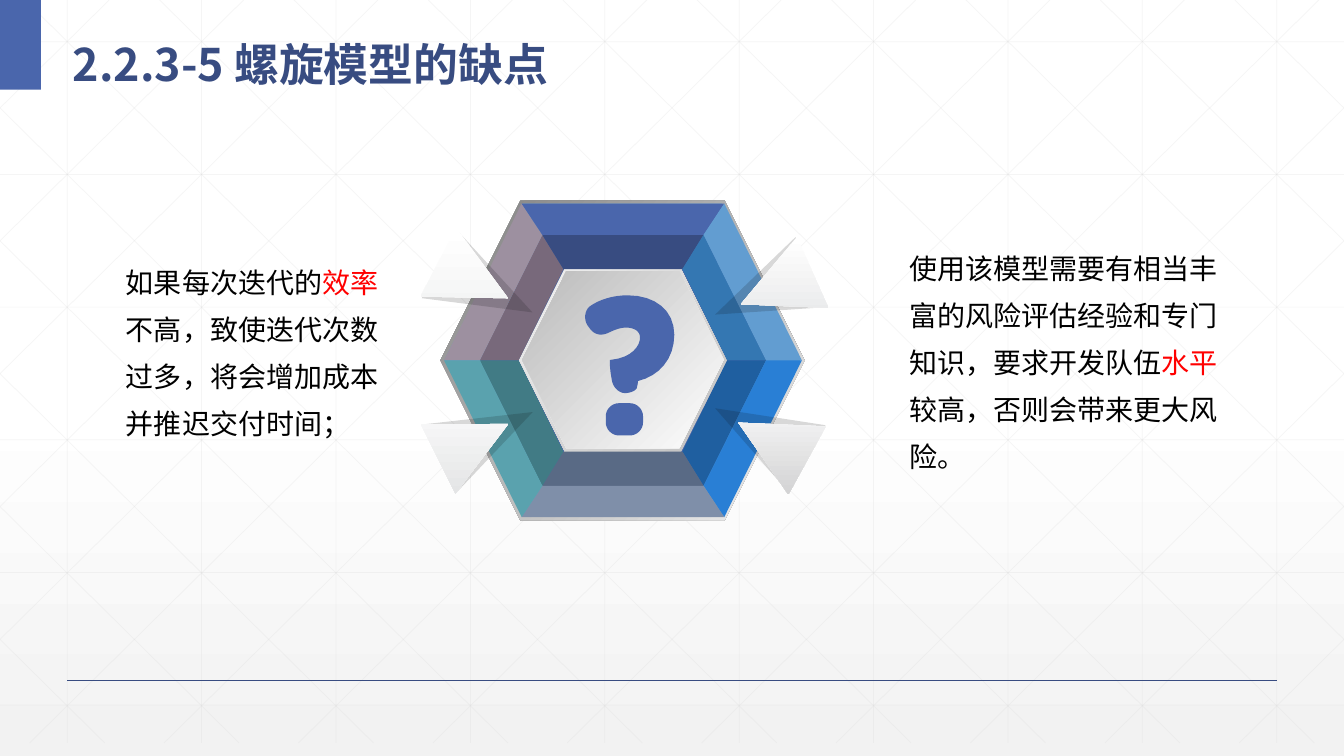
from lxml import etree
from pptx import Presentation
from pptx.dml.color import RGBColor
from pptx.enum.shapes import MSO_CONNECTOR as CON, MSO_SHAPE as SHP
from pptx.oxml.ns import qn
from pptx.util import Inches, Pt

CELL = Inches(0.1)
COLS, ROWS = 133.33, 75

COLORS = {
    "white": "FFFFFF", "haze": "F2F2F2", "grid": "D9D9D9", "grey": "808080",
    "silver": "BFBFBF", "steel": "BABABA", "shade": "0D0D0D",
    "blue": "4A66AC", "navy": "384C81", "sky": "629DD1", "ocean": "3477B2",
    "azure": "297FD5", "deep": "1F5FA0", "slate": "7F8FA9", "iron": "596A85",
    "teal": "5AA2AE", "pine": "417B85", "mauve": "9D90A0", "plum": "78697B",
    "black": "000000", "red": "FF0000",
    "fold1": "D3D3D4", "fold2": "E2E3E4", "fold3": "E4E5E6", "fold4": "F0F1F1",
}


def cells(*values):
    return [round(v * CELL) for v in values]


def add_alpha(node, percent):
    etree.SubElement(node, qn("a:alpha")).set("val", str(percent * 1000))


def bezier(p0, p1, p2, p3, steps=8):
    for i in range(1, steps + 1):
        t = i / steps
        yield tuple((1 - t) ** 3 * a + 3 * (1 - t) ** 2 * t * b
                    + 3 * (1 - t) * t ** 2 * c + t ** 3 * d
                    for a, b, c, d in zip(p0, p1, p2, p3))


def flatten(start, *segments):
    points = [start]
    for seg in segments:
        if len(seg) == 2:
            points.append(seg)
        else:
            points.extend(bezier(points[-1], seg[:2], seg[2:4], seg[4:]))
    return points


class Deck:
    font = "Noto Sans CJK SC"

    def __init__(self):
        self.prs = Presentation()
        self.prs.slide_width, self.prs.slide_height = cells(COLS, ROWS)
        self.s = self.prs.slides.add_slide(self.prs.slide_layouts[6])

    def rgb(self, name):
        return RGBColor.from_string(COLORS[name])

    def gradient(self, fill, element, stops, angle):
        fill.gradient()
        fill.gradient_angle = -angle % 360
        stop_list = element.find(".//" + qn("a:gsLst"))
        for stop in list(stop_list):
            stop_list.remove(stop)
        for position, name, alpha in stops:
            gs = etree.SubElement(stop_list, qn("a:gs"), pos=str(position * 1000))
            clr = etree.SubElement(gs, qn("a:srgbClr"), val=COLORS[name])
            if alpha < 100:
                add_alpha(clr, alpha)

    def background(self, *stops):
        self.gradient(self.s.background.fill, self.s._element, stops, 90)

    def paint(self, sp, color, alpha=100):
        sp.shadow.inherit = False
        sp.line.fill.background()
        if isinstance(color, tuple):
            first, last, angle = color
            self.gradient(sp.fill, sp._element,
                          [(0, first, 100), (100, last, 100)], angle)
            return
        sp.fill.solid()
        sp.fill.fore_color.rgb = self.rgb(color)
        if alpha < 100:
            add_alpha(sp._element.spPr.find(".//" + qn("a:srgbClr")), alpha)

    def shape(self, kind, box, color, alpha=100, rotation=0):
        sp = self.s.shapes.add_shape(kind, *cells(*box))
        sp.rotation = rotation
        self.paint(sp, color, alpha)

    def outline(self, color, *contours):
        first, *others = [[cells(*p) for p in c] for c in contours]
        builder = self.s.shapes.build_freeform(*first[0])
        builder.add_line_segments(first[1:], close=True)
        for contour in others:
            builder.move_to(*contour[0])
            builder.add_line_segments(contour[1:], close=True)
        self.paint(builder.convert_to_shape(), color)

    def line(self, x1, y1, x2, y2, color="grid", width=0.5, alpha=100):
        ln = self.s.shapes.add_connector(CON.STRAIGHT, *cells(x1, y1, x2, y2))
        ln.line.width = Pt(width)
        ln.line.color.rgb = self.rgb(color)
        spPr = ln._element.spPr
        if alpha < 100:
            add_alpha(spPr.find(".//" + qn("a:srgbClr")), alpha)
        etree.SubElement(spPr, qn("a:effectLst"))

    def text(self, box, runs, size, spacing, inset=(0, 0), bold=False):
        tf = self.s.shapes.add_textbox(*cells(*box)).text_frame
        tf.word_wrap = True
        side, top = cells(*inset)
        tf.margin_left = tf.margin_right = side
        tf.margin_top = tf.margin_bottom = top
        p = tf.paragraphs[0]
        p.line_spacing = spacing
        for words, color in runs:
            r = p.add_run()
            r.text = words
            r.font.size, r.font.bold, r.font.name = Pt(size), bold, self.font
            r.font.color.rgb = self.rgb(color)
            etree.SubElement(r.font._element, qn("a:ea"), typeface=self.font)


def draw_lattice(deck):
    bottom, step = 73.7, COLS / 10
    slope = 74.55 / bottom
    for i in range(10):
        x = step * (i + 0.5)
        deck.line(x, 0, x, bottom, alpha=25)
    for i in range(6):
        y = 4.15 + 13.16 * i
        deck.line(0, y, COLS, y, alpha=25)
    for i in range(-5, 10):
        x = 2.5 + step * i
        top, end = max(0, -x / slope), min(bottom, (COLS - x) / slope)
        left, right = x + top * slope, x + end * slope
        deck.line(left, top, right, end, alpha=25)
        deck.line(COLS - left, top, COLS - right, end, alpha=25)


def ring(half_width, half_top, half_height, cx=61.8, cy=35.75):
    corners = [(-half_width, 0), (-half_top, -half_height), (half_top, -half_height),
               (half_width, 0), (half_top, half_height), (-half_top, half_height)]
    return [(cx + x, cy + y) for x, y in corners]


def draw_hexagon(deck):
    for box, color in [
        ((43.7, 19.9, 36.1, 31.7), ("grey", "haze", 45)),
        ((44.1, 20.2, 35.3, 31), "sky"),
        ((47.7, 23.3, 28.3, 24.8), "blue"),
        ((51.5, 26.7, 20.6, 18.1), ("silver", "haze", 225)),
        ((51.8, 26.9, 20, 17.6), ("white", "steel", 225)),
    ]:
        deck.shape(SHP.HEXAGON, box, color)
    inner, middle, outer = ring(10.35, 5.9, 9.05), ring(14.2, 8, 12.45), ring(17.75, 10.05, 15.55)
    for near, far, colors in [
        (inner, middle, ["plum", "navy", "ocean", "deep", "iron", "pine"]),
        (middle, outer, ["mauve", "blue", "sky", "azure", "slate", "teal"]),
    ]:
        for i, color in enumerate(colors):
            j = (i + 1) % 6
            deck.outline(color, [near[i], near[j], far[j], far[i]])


def draw_folds(deck):
    for shadow, fold, rotation, color in [
        ((71.7, 37.8), (72.8, 39.9), 298.8, "fold1"),
        ((71.9, 23.9), (73.2, 24.7), 246.1, "fold2"),
        ((44.4, 38), (43.1, 39.9), 63.5, "fold3"),
        ((44.4, 23.4), (43.1, 23.9), 117.4, "fold4"),
    ]:
        deck.shape(SHP.ISOSCELES_TRIANGLE, (*shadow, 7.6, 10.4), "shade", 16, rotation)
        deck.shape(SHP.ISOSCELES_TRIANGLE, (*fold, 7.7, 7.8),
                   ("white", color, 90 - rotation), 100, rotation)


def draw_question_mark(deck):
    dot = flatten(
        (61.4, 40), (62.5, 40), (63.2, 40, 63.8, 40.6, 63.8, 41.3), (63.8, 41.9),
        (63.8, 42.6, 63.2, 43.2, 62.5, 43.2), (61.4, 43.2),
        (60.7, 43.2, 60.1, 42.6, 60.1, 41.9), (60.1, 41.3),
        (60.1, 40.6, 60.7, 40, 61.4, 40))
    hook = flatten(
        (62.3, 29.3), (65, 29.3, 66.9, 30.8, 66.9, 33.2),
        (66.9, 35.6, 65.4, 37.3, 63.3, 37.8), (63.3, 37.8, 63.3, 38, 63.2, 38.4),
        (63.2, 38.7, 62.6, 39, 62, 39), (61.4, 39, 60.8, 38.4, 60.7, 37.7),
        (60.6, 37.1), (60.5, 36.4, 60.5, 35.8, 60.5, 35.7), (60.6, 35.7),
        (62.7, 35.5, 63.5, 34.3, 63.5, 33.5), (63.5, 32.9, 63, 32.5, 62.1, 32.5),
        (61.6, 32.5, 61, 32.7, 60.4, 33), (59.8, 33.3, 59.1, 33.3, 58.6, 32.7),
        (58.3, 32.3), (57.9, 31.7, 58, 30.8, 58.5, 30.4),
        (59.5, 29.7, 60.8, 29.3, 62.3, 29.3))
    deck.outline("blue", dot, hook)


def main():
    deck = Deck()
    deck.background((0, "white", 100), (53, "white", 100), (100, "haze", 65))
    draw_lattice(deck)
    deck.line(6.67, 67.5, 126.67, 67.5, "navy", 1)
    deck.shape(SHP.RECTANGLE, (0, 0, 4.05, 8.9), "blue")
    deck.text((6.3, 1.6, 115.2, 7.3), [("2.2.3-5 螺旋模型的缺点", "navy")],
              32, 1.3, (0.9, 0.5), True)
    draw_hexagon(deck)
    draw_folds(deck)
    draw_question_mark(deck)
    deck.text((90.2, 23.6, 30.7, 28.2),
              [("使用该模型需要有相当丰富的风险评估经验和专门知识，要求开发队伍", "black"),
               ("水平", "red"), ("较高，否则会带来更大风险。", "black")], 20, 1.4)
    deck.text((12.5, 25, 26.6, 23.2),
              [("如果每次迭代的", "black"), ("效率", "red"),
               ("不高，致使迭代次数过多，将会增加成本并推迟交付时间；", "black")], 20, 1.4)
    deck.prs.save("out.pptx")


if __name__ == "__main__":
    main()
